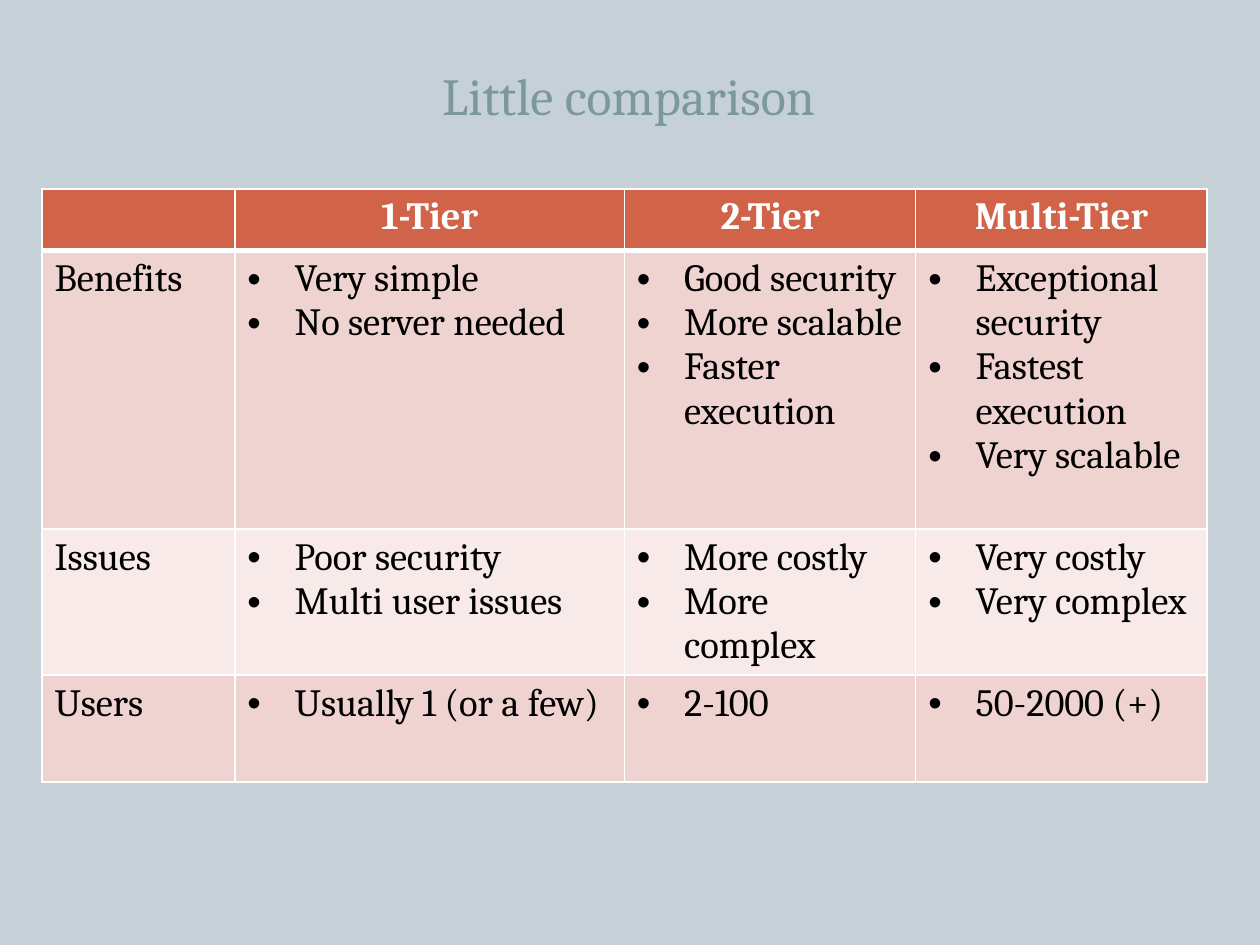
"""Build a slide that compares one, two and many tiers in a table."""
from dataclasses import dataclass

from lxml.etree import SubElement as Sub
from pptx import Presentation
from pptx.dml.color import RGBColor as RGB
from pptx.enum.text import MSO_ANCHOR as Anchor, PP_ALIGN as Align
from pptx.oxml.ns import qn
from pptx.slide import Slide
from pptx.table import _Cell as Cell
from pptx.text.text import _Paragraph as Para
from pptx.util import Pt

FONT = "Cambria"
HEX = {
    "back": "C5D1D7",
    "title": "7C999A",
    "head": "D16349",
    "dark": "EED3D0",
    "light": "F7EAE9",
    "white": "FFFFFF",
    "black": "000000",
}
WIDTHS = (110.2, 222.6, 166.5, 166.5)
TIERS = ("", "1-Tier", "2-Tier", "Multi-Tier")
INDENT = 27
THIN, THICK = 1, 3


@dataclass
class Row:
    """One body row: its label, height and the points for each tier."""
    label: str
    height: float
    points: tuple[tuple[str, ...], ...]


ROWS = (
    Row("Benefits", 159.4, (
        ("Very simple", "No server needed"),
        ("Good security", "More scalable", "Faster execution"),
        ("Exceptional security", "Fastest execution", "Very scalable"),
    )),
    Row("Issues", 83.4, (
        ("Poor security", "Multi user issues"),
        ("More costly", "More complex"),
        ("Very costly", "Very complex"),
    )),
    Row("Users", 61, (
        ("Usually 1 (or a few)",), ("2-100",), ("50-2000 (+)",),
    )),
)


def style(para: Para, size: float, color: str, bold: bool = False) -> None:
    """Set the font of a paragraph."""
    font = para.font
    font.name, font.size, font.bold = FONT, Pt(size), bold
    font.color.rgb = RGB.from_string(HEX[color])


def bullet(para: Para) -> None:
    """Give a paragraph a hanging bullet."""
    props = para._p.get_or_add_pPr()
    props.set("marL", str(Pt(INDENT)))
    props.set("indent", str(-Pt(INDENT)))
    mark = Sub(props, qn("a:buFont"))
    mark.set("typeface", "Arial")
    Sub(props, qn("a:buChar")).set("char", "•")


def border(cell: Cell, top: float, bottom: float) -> None:
    """Draw white lines around a cell."""
    props = cell._tc.get_or_add_tcPr()
    sides = {"lnL": THIN, "lnR": THIN, "lnT": top, "lnB": bottom}
    for side, width in sides.items():
        line = Sub(props, qn(f"a:{side}"), w=str(Pt(width)))
        fill = Sub(line, qn("a:solidFill"))
        Sub(fill, qn("a:srgbClr"), val=HEX["white"])


def paint(cell: Cell, color: str) -> None:
    """Fill a cell with one colour."""
    cell.fill.solid()
    cell.fill.fore_color.rgb = RGB.from_string(HEX[color])


def add_head(cell: Cell, text: str) -> None:
    """Write a heading cell."""
    border(cell, THIN, THICK)
    paint(cell, "head")
    cell.text = text
    para = cell.text_frame.paragraphs[0]
    para.alignment = Align.CENTER
    style(para, 22, "white", True)


def add_body(cell: Cell, lines: tuple[str, ...], color: str,
             top: float, listed: bool) -> None:
    """Write a body cell, with bullets if it is listed."""
    border(cell, top, THIN)
    paint(cell, color)
    cell.text = "\n".join(lines)
    for para in cell.text_frame.paragraphs:
        style(para, 22, "black")
        if listed:
            bullet(para)


def add_title(slide: Slide, text: str) -> None:
    """Place and format the title."""
    title = slide.shapes.title
    title.left, title.top = Pt(54), Pt(30)
    title.width, title.height = Pt(610.6), Pt(45.4)
    frame = title.text_frame
    frame.text = text
    frame.vertical_anchor = Anchor.BOTTOM
    para = frame.paragraphs[0]
    para.alignment = Align.CENTER
    style(para, 29.7, "title")


def add_grid(slide: Slide) -> None:
    """Add the table of tiers."""
    highs = (35, *(row.height for row in ROWS))
    grid = slide.shapes.add_table(
        len(highs), len(WIDTHS), Pt(24), Pt(108),
        Pt(sum(WIDTHS)), Pt(sum(highs))).table
    for col, width in zip(grid.columns, WIDTHS):
        col.width = Pt(width)
    for line, high in zip(grid.rows, highs):
        line.height = Pt(high)
    for col, tier in enumerate(TIERS):
        add_head(grid.cell(0, col), tier)
    for num, row in enumerate(ROWS, 1):
        color = "dark" if num % 2 else "light"
        top = THICK if num == 1 else THIN
        for col, lines in enumerate(((row.label,), *row.points)):
            add_body(grid.cell(num, col), lines, color, top, col > 0)


def main() -> None:
    """Build and save the deck."""
    deck = Presentation()
    deck.slide_width, deck.slide_height = Pt(720), Pt(540)
    slide = deck.slides.add_slide(deck.slide_layouts[5])
    fill = slide.background.fill
    fill.solid()
    fill.fore_color.rgb = RGB.from_string(HEX["back"])
    add_title(slide, "Little comparison")
    add_grid(slide)
    deck.save("out.pptx")


if __name__ == "__main__":
    main()
